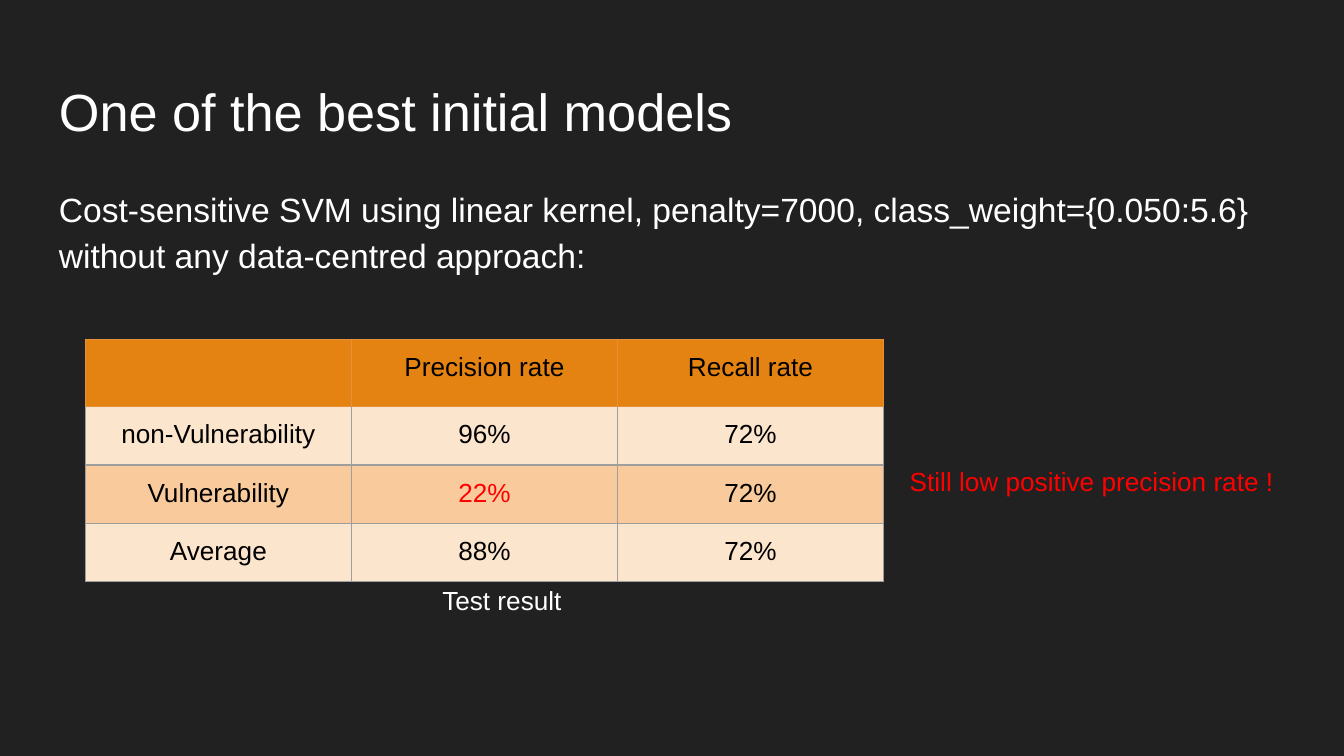
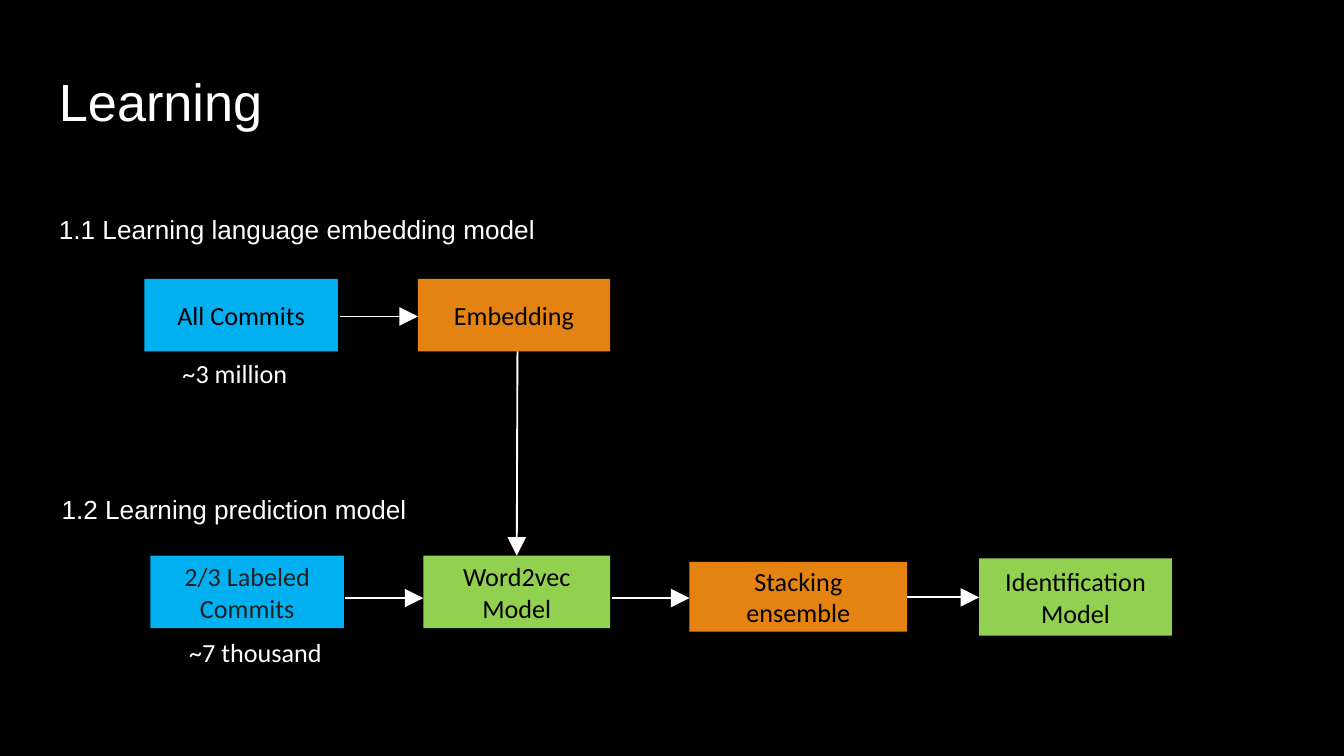
from dataclasses import dataclass
from typing import Any, NamedTuple, Optional

from lxml.etree import SubElement
from pptx import Presentation
from pptx.dml.color import RGBColor
from pptx.enum.shapes import MSO_CONNECTOR, MSO_SHAPE
from pptx.enum.text import MSO_ANCHOR, PP_ALIGN
from pptx.oxml.ns import qn
from pptx.util import Emu, Pt

EMU_PER_PX = 4572
PAGE_WIDTH, PAGE_HEIGHT = 2000, 1125
BLANK_LAYOUT = 6

WHITE = RGBColor(0xFF, 0xFF, 0xFF)
BLACK = RGBColor(0x00, 0x00, 0x00)
CHARCOAL = RGBColor(0x21, 0x21, 0x21)
RED = RGBColor(0xFF, 0x00, 0x00)
ORANGE = RGBColor(0xE4, 0x83, 0x12)
HEADER_LINE = RGBColor(0xE6, 0x91, 0x38)
PALE_PEACH = RGBColor(0xFC, 0xE5, 0xCD)
PEACH = RGBColor(0xF9, 0xCB, 0x9C)
GREY = RGBColor(0x9E, 0x9E, 0x9E)
BLUE = RGBColor(0x00, 0xB0, 0xF0)
GREEN = RGBColor(0x92, 0xD0, 0x50)


def px(length: int) -> Emu:
    return Emu(length * EMU_PER_PX)


class Area(NamedTuple):
    left: int
    top: int
    width: int
    height: int

    def emu(self) -> list[Emu]:
        return [px(length) for length in self]


@dataclass(frozen=True)
class TextStyle:
    size: int = 14
    name: str = "Arial"
    color: RGBColor = WHITE
    align: PP_ALIGN = PP_ALIGN.LEFT
    anchor: MSO_ANCHOR = MSO_ANCHOR.TOP
    pad: int = 20
    spacing: Optional[float] = None


@dataclass(frozen=True)
class Label:
    text: str
    area: Area
    style: TextStyle


@dataclass(frozen=True)
class Stage:
    text: str
    area: Area
    fill: RGBColor
    color: RGBColor = BLACK


class Arrow(NamedTuple):
    start_x: int
    start_y: int
    end_x: int
    end_y: int


TITLE_AREA = Area(68, 98, 1864, 126)
HEADING = TextStyle(pad=10)
COUNT = TextStyle(name="Calibri", pad=10)

RESULT_LABELS = [
    Label("Cost-sensitive SVM using linear kernel, penalty=7000, "
          "class_weight={0.050:5.6} without any data-centred approach:",
          Area(68, 252, 1864, 748), TextStyle(size=18, spacing=1.15)),
    Label("Test result", Area(322, 850, 850, 80), TextStyle(align=PP_ALIGN.CENTER)),
    Label("Still low positive precision rate !", Area(1334, 673, 610, 134),
          TextStyle(color=RED)),
]

RESULT_ROWS = [
    ("", "Precision rate", "Recall rate"),
    ("non-Vulnerability", "96%", "72%"),
    ("Vulnerability", "22%", "72%"),
    ("Average", "88%", "72%"),
]
ROW_FILLS = [ORANGE, PALE_PEACH, PEACH, PALE_PEACH]
ROW_LINES = [HEADER_LINE, GREY, GREY, GREY]
ROW_HEIGHT = 83
COLUMN_WIDTH = 396
LOW_RATE = "22%"

LEARNING_LABELS = [
    Label("1.1 Learning language embedding model", Area(68, 308, 866, 68), HEADING),
    Label("1.2 Learning prediction model", Area(72, 724, 594, 68), HEADING),
    Label("~3 million", Area(252, 522, 232, 68), COUNT),
    Label("~7 thousand", Area(262, 937, 288, 68), COUNT),
]

STAGES = [
    Stage("All Commits", Area(215, 415, 288, 108), BLUE),
    Stage("Embedding", Area(622, 415, 286, 108), ORANGE),
    Stage("2/3 Labeled Commits", Area(224, 827, 288, 108), BLUE, CHARCOAL),
    Stage("Word2vec Model", Area(630, 827, 278, 108), GREEN),
    Stage("Stacking ensemble", Area(1026, 836, 324, 104), ORANGE),
    Stage("Identification Model", Area(1457, 831, 287, 115), GREEN),
]

ARROWS = [
    Arrow(506, 471, 622, 471),
    Arrow(514, 890, 630, 890),
    Arrow(910, 890, 1026, 890),
    Arrow(1350, 889, 1457, 889),
    Arrow(770, 523, 769, 827),
]


def apply_format(target: Any, values: dict[str, Any]) -> None:
    for attribute, value in values.items():
        setattr(target, attribute, value)


def write_text(frame: Any, text: str, style: TextStyle) -> None:
    para = frame.paragraphs[0]
    apply_format(para, {"alignment": style.align, "line_spacing": style.spacing})
    span = para.add_run()
    span.text = text
    apply_format(span.font, {"size": Pt(style.size), "name": style.name})
    span.font.color.rgb = style.color


def fill_frame(frame: Any, text: str, style: TextStyle) -> None:
    apply_format(frame, {
        "word_wrap": True,
        "vertical_anchor": style.anchor,
        "margin_left": px(20),
        "margin_right": px(20),
        "margin_top": px(style.pad),
        "margin_bottom": px(style.pad),
    })
    write_text(frame, text, style)


def add_label(page: Any, label: Label) -> None:
    box = page.shapes.add_textbox(*label.area.emu())
    fill_frame(box.text_frame, label.text, label.style)


def add_stage(page: Any, stage: Stage) -> None:
    box = page.shapes.add_shape(MSO_SHAPE.RECTANGLE, *stage.area.emu())
    box.shadow.inherit = False
    box.fill.solid()
    box.fill.fore_color.rgb = stage.fill
    box.line.fill.background()
    fill_frame(box.text_frame, stage.text, TextStyle(
        name="Calibri", color=stage.color, align=PP_ALIGN.CENTER,
        anchor=MSO_ANCHOR.MIDDLE, pad=10))


def add_arrow(page: Any, arrow: Arrow) -> None:
    connector = page.shapes.add_connector(
        MSO_CONNECTOR.STRAIGHT, *[px(length) for length in arrow])
    connector.line.color.rgb = WHITE
    connector.line.width = Pt(1)
    SubElement(connector.line._get_or_add_ln(), qn("a:tailEnd"),
               type="triangle", w="lg", len="lg")
    SubElement(connector._element.spPr, qn("a:effectLst"))


def add_borders(cell: Any, color: RGBColor, top_color: RGBColor) -> None:
    properties = cell._tc.get_or_add_tcPr()
    sides = {"lnL": color, "lnR": color, "lnT": top_color, "lnB": color}
    for position, (side, side_color) in enumerate(sides.items()):
        line = SubElement(properties, qn(f"a:{side}"), w=str(Pt(0.75)))
        fill = SubElement(line, qn("a:solidFill"))
        SubElement(fill, qn("a:srgbClr"), val=str(side_color))
        properties.insert(position, line)


def add_results_table(page: Any) -> None:
    row_count, column_count = len(RESULT_ROWS), len(RESULT_ROWS[0])
    area = Area(127, 505, COLUMN_WIDTH * column_count, ROW_HEIGHT * row_count)
    table = page.shapes.add_table(row_count, column_count, *area.emu()).table
    apply_format(table, {"first_row": False, "horz_banding": False})
    margins = ("margin_left", "margin_right", "margin_top", "margin_bottom")
    for column in table.columns:
        column.width = px(COLUMN_WIDTH)
    for index, (row, texts) in enumerate(zip(table.rows, RESULT_ROWS)):
        row.height = px(ROW_HEIGHT)
        for cell, text in zip(row.cells, texts):
            cell.fill.solid()
            cell.fill.fore_color.rgb = ROW_FILLS[index]
            add_borders(cell, ROW_LINES[index], ROW_LINES[max(index - 1, 0)])
            apply_format(cell, dict.fromkeys(margins, px(20)))
            if text:
                color = RED if text == LOW_RATE else BLACK
                write_text(cell.text_frame, text,
                           TextStyle(color=color, align=PP_ALIGN.CENTER))


def add_page(deck: Any, title: str, background: RGBColor,
             spacing: Optional[float] = None) -> Any:
    page = deck.slides.add_slide(deck.slide_layouts[BLANK_LAYOUT])
    page.background.fill.solid()
    page.background.fill.fore_color.rgb = background
    add_label(page, Label(title, TITLE_AREA, TextStyle(size=28, spacing=spacing)))
    return page


def build_results(deck: Any) -> None:
    page = add_page(deck, "One of the best initial models", CHARCOAL)
    for label in RESULT_LABELS:
        add_label(page, label)
    add_results_table(page)


def build_learning(deck: Any) -> None:
    page = add_page(deck, "Learning", BLACK, spacing=0.85)
    for stage in STAGES:
        add_stage(page, stage)
    for arrow in ARROWS:
        add_arrow(page, arrow)
    for label in LEARNING_LABELS:
        add_label(page, label)


def main() -> None:
    deck = Presentation()
    apply_format(deck, {"slide_width": px(PAGE_WIDTH), "slide_height": px(PAGE_HEIGHT)})
    build_results(deck)
    build_learning(deck)
    deck.save("out.pptx")


if __name__ == "__main__":
    main()
